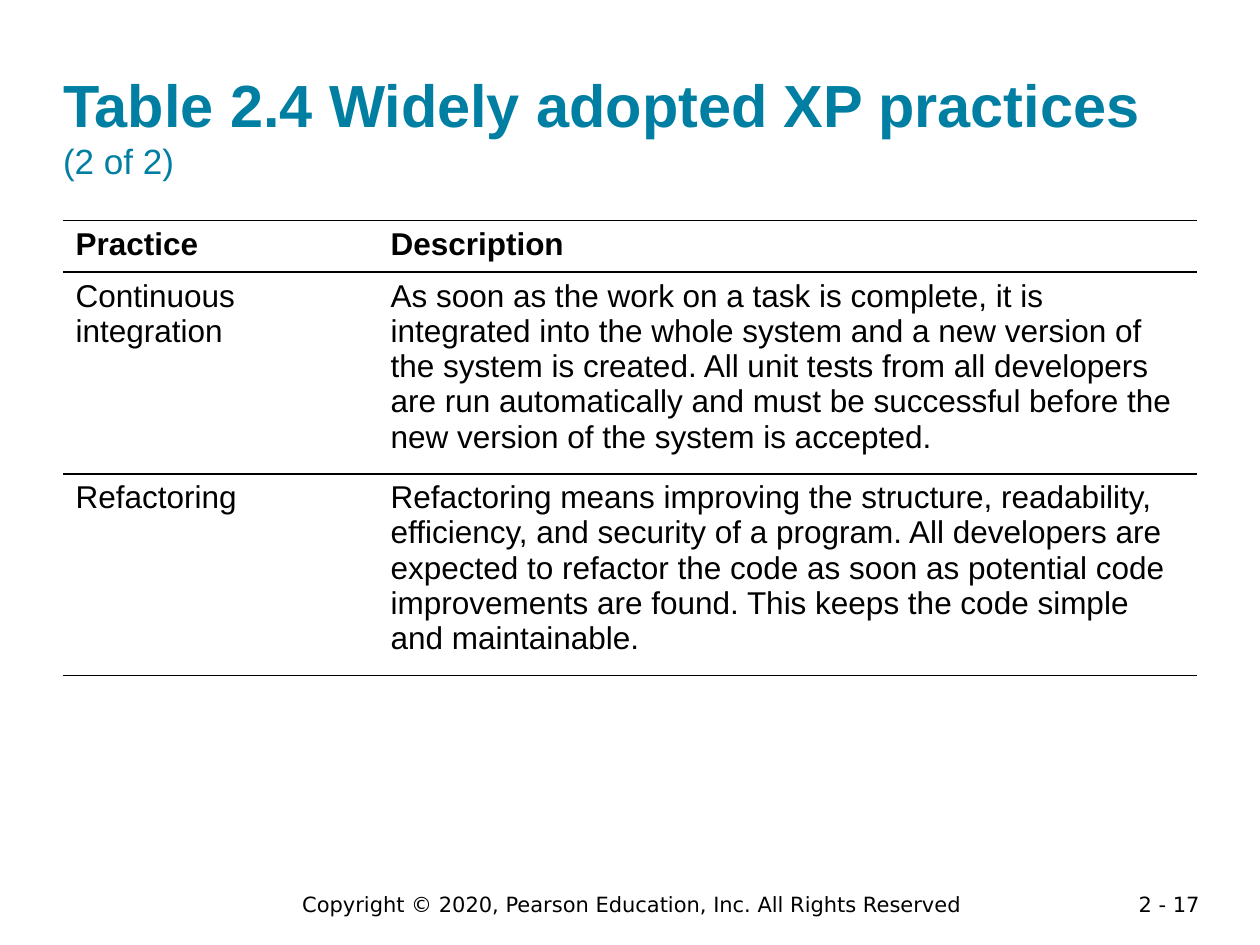
import pptx
import pptx.dml.color
import pptx.enum.text
import pptx.oxml.ns
import pptx.util
from lxml import etree

Inches = pptx.util.Inches
Pt = pptx.util.Pt
qn = pptx.oxml.ns.qn
ALIGN = pptx.enum.text.PP_ALIGN

BLACK = pptx.dml.color.RGBColor(0x00, 0x00, 0x00)
TEAL = pptx.dml.color.RGBColor(0x00, 0x7F, 0xA3)

COLUMN_WIDTHS = (2.5, 6.5)
ROW_HEIGHTS = (0.41, 1.5, 1.5)
PRACTICES = (
    ("Practice", "Description"),
    ("Continuous integration",
     "As soon as the work on a task is complete, it is integrated into the whole "
     "system and a new version of the system is created. All unit tests from all "
     "developers are run automatically and must be successful before the new "
     "version of the system is accepted."),
    ("Refactoring",
     "Refactoring means improving the structure, readability, efficiency, and "
     "security of a program. All developers are expected to refactor the code as "
     "soon as potential code improvements are found. This keeps the code simple "
     "and maintainable."),
)


def add_text(paragraph, text, size=18, font="Arial", color=BLACK, bold=False,
             align=ALIGN.LEFT):
    paragraph.alignment = align
    run = paragraph.add_run()
    run.text = text
    run.font.size = Pt(size)
    run.font.name = font
    run.font.color.rgb = color
    run.font.bold = bold


def add_title(slide):
    title = slide.shapes.title
    title.left, title.top = Inches(0.5), Inches(0.24)
    title.width, title.height = Inches(9), Inches(1.2)
    frame = title.text_frame
    frame.auto_size = pptx.enum.text.MSO_AUTO_SIZE.NONE
    frame.word_wrap = True
    frame.vertical_anchor = pptx.enum.text.MSO_ANCHOR.BOTTOM
    frame.margin_left = frame.margin_right = 0
    frame.margin_top = frame.margin_bottom = 0
    heading = frame.paragraphs[0]
    add_text(heading, "Table 2.4 Widely adopted XP practices",
             size=34, color=TEAL, bold=True)
    add_text(heading, " ", size=20, color=TEAL, bold=True)
    heading.add_line_break()
    line_break = heading._p.findall(qn("a:br"))[-1]
    etree.SubElement(line_break, qn("a:rPr"), sz="2000")
    add_text(heading, "(2 of 2)", size=20, color=TEAL)


def set_rules(cell):
    properties = cell._tc.get_or_add_tcPr()
    for side in ("L", "R", "T", "B"):
        line = etree.SubElement(properties, qn(f"a:ln{side}"), w=str(Pt(1)))
        if side in "LR":
            etree.SubElement(line, qn("a:noFill"))
        else:
            fill = etree.SubElement(line, qn("a:solidFill"))
            etree.SubElement(fill, qn("a:srgbClr"), val=str(BLACK))
    cell.fill.background()


def add_practice_table(slide):
    table = slide.shapes.add_table(
        len(PRACTICES), len(COLUMN_WIDTHS), Inches(0.5), Inches(1.75),
        Inches(sum(COLUMN_WIDTHS)), Inches(sum(ROW_HEIGHTS))).table
    table.first_row = False
    table.horz_banding = False
    for column, width in zip(table.columns, COLUMN_WIDTHS):
        column.width = Inches(width)
    for row, height in zip(table.rows, ROW_HEIGHTS):
        row.height = Inches(height)
    for row_index, practice in enumerate(PRACTICES):
        for column_index, text in enumerate(practice):
            cell = table.cell(row_index, column_index)
            add_text(cell.text_frame.paragraphs[0], text, bold=row_index == 0)
            set_rules(cell)


def add_footer(slide, text, left, width, height, align):
    footer = slide.shapes.add_textbox(
        Inches(left), Inches(7.03), Inches(width), Inches(height))
    footer.text_frame.word_wrap = True
    add_text(footer.text_frame.paragraphs[0], text, size=12,
             font="DejaVu Sans", align=align)


def main():
    presentation = pptx.Presentation()
    presentation.slide_width = Inches(10)
    presentation.slide_height = Inches(7.5)
    slide = presentation.slides.add_slide(presentation.slide_layouts[5])
    add_footer(slide, "2 - 17", 8.62, 1, 0.22, ALIGN.RIGHT)
    add_footer(slide, "Copyright © 2020, Pearson Education, Inc. All Rights Reserved",
               1.64, 6.75, 0.3, ALIGN.CENTER)
    add_practice_table(slide)
    add_title(slide)
    presentation.save("out.pptx")


if __name__ == "__main__":
    main()
